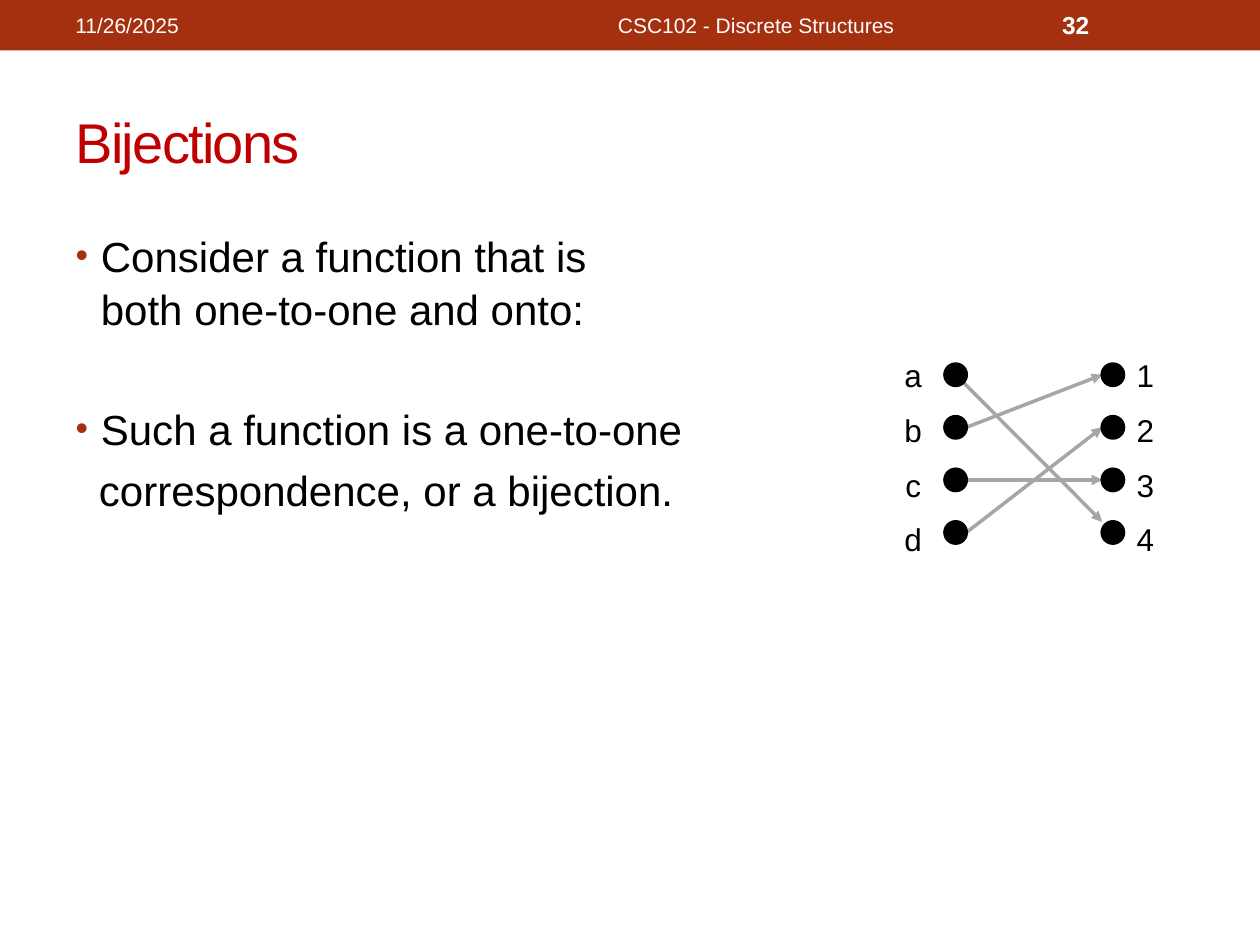
from dataclasses import dataclass

from lxml.etree import SubElement
from pptx import Presentation
from pptx.dml.color import RGBColor as RGB
from pptx.enum.shapes import MSO_CONNECTOR as Connector, MSO_SHAPE as Shape
from pptx.enum.text import MSO_ANCHOR as Anchor, MSO_AUTO_SIZE as AutoSize, PP_ALIGN as Align
from pptx.oxml.ns import qn
from pptx.util import Cm, Pt


@dataclass(frozen=True)
class Theme:
    font: str = "Arial"
    accent: RGB = RGB(0xA5, 0x30, 0x0F)
    title: RGB = RGB(0xC0, 0x00, 0x00)
    ink: RGB = RGB(0x00, 0x00, 0x00)
    arrow: RGB = RGB(0xA6, 0xA6, 0xA6)
    paper: RGB = RGB(0xFF, 0xFF, 0xFF)
    title_size: int = 32
    body_size: int = 24
    label_size: int = 18
    number_size: int = 14
    header_size: int = 12


THEME = Theme()
ROW_TOP, ROW_PITCH, DOT = 7.34, 1.06, 0.43
DOMAIN_LEFT, CODOMAIN_LEFT = 19.05, 22.22


def place(item, left, top, width, height):
    item.left, item.top, item.width, item.height = map(Cm, (left, top, width, height))


def style(paragraph, size, color, bold=False):
    for run in paragraph.runs:
        font = run.font
        font.name, font.size, font.bold = THEME.font, Pt(size), bold
        font.color.rgb = color


def set_bullet(paragraph, margin, bulleted):
    properties = paragraph._p.get_or_add_pPr()
    properties.set("marL", str(Cm(margin)))
    properties.set("indent", str(-Cm(margin) if bulleted else 0))
    if not bulleted:
        SubElement(properties, qn("a:buNone"))
        return
    color = SubElement(properties, qn("a:buClr"))
    SubElement(color, qn("a:srgbClr"), val=str(THEME.accent))
    SubElement(properties, qn("a:buSzPct"), val="85000")
    SubElement(properties, qn("a:buFont"), typeface=THEME.font)
    SubElement(properties, qn("a:buChar"), char="•")


def add_header_text(slide, text, left, width, size, align=Align.LEFT, bold=False):
    box = slide.shapes.add_textbox(Cm(left), Cm(0.05), Cm(width), Cm(0.91))
    frame = box.text_frame
    frame.word_wrap = True
    frame.vertical_anchor = Anchor.MIDDLE
    frame.text = text
    frame.paragraphs[0].alignment = align
    style(frame.paragraphs[0], size, THEME.paper, bold)


def add_solid(slide, kind, left, top, width, height, color):
    solid = slide.shapes.add_shape(kind, Cm(left), Cm(top), Cm(width), Cm(height))
    solid.shadow.inherit = False
    solid.fill.solid()
    solid.fill.fore_color.rgb = color
    solid.line.color.rgb = color
    solid.line.width = Pt(2)
    return solid


def fill_title(title, text):
    place(title, 1.27, 1.47, 22.86, 2.74)
    frame = title.text_frame
    frame.auto_size = AutoSize.NONE
    frame.vertical_anchor = Anchor.MIDDLE
    frame.text = text
    heading = frame.paragraphs[0]
    heading.alignment = Align.LEFT
    style(heading, THEME.title_size, THEME.title)
    heading.runs[0].font._element.set("spc", "-100")


def fill_body(body, entries):
    place(body, 1.27, 4.45, 22.86, 13.54)
    frame = body.text_frame
    frame.auto_size = AutoSize.NONE
    frame.text = "\n".join(text for text, *_ in entries)
    for paragraph, (_, margin, bulleted, before) in zip(frame.paragraphs, entries):
        set_bullet(paragraph, margin, bulleted)
        paragraph.space_before = Pt(before)
        paragraph.line_spacing = 1.06
        style(paragraph, THEME.body_size, THEME.ink)


def add_labels(slide, labels, left):
    box = slide.shapes.add_textbox(Cm(left), Cm(6.71), Cm(0.86), Cm(4.52))
    frame = box.text_frame
    frame.word_wrap = False
    frame.text = "\n".join(labels)
    for paragraph in frame.paragraphs:
        paragraph.alignment = Align.CENTER
        paragraph.line_spacing = 1.45
        style(paragraph, THEME.label_size, THEME.ink)


def add_arrow(slide, start, end):
    arrow = slide.shapes.add_connector(Connector.STRAIGHT, *map(Cm, (*start, *end)))
    arrow.line.color.rgb = THEME.arrow
    arrow.line.width = Pt(2)
    SubElement(arrow.line._get_or_add_ln(), qn("a:tailEnd"), type="triangle")
    SubElement(arrow._element.spPr, qn("a:effectLst"))


def add_mapping(slide, domain, codomain, pairs):
    """Draw the labelled dots of both sets and an arrow for each pair."""
    add_labels(slide, codomain, 22.66)
    add_labels(slide, domain, 17.98)
    for source, target in pairs:
        row, goal = domain.index(source), codomain.index(target)
        steep = goal - row > 1
        start_x = DOMAIN_LEFT + (DOT / 2 if steep else DOT)
        start_y = ROW_TOP + row * ROW_PITCH + DOT / 2
        end_y = ROW_TOP + goal * ROW_PITCH + (0 if steep else DOT / 2)
        add_arrow(slide, (start_x, start_y), (CODOMAIN_LEFT, end_y))
    for left, members in ((DOMAIN_LEFT, domain), (CODOMAIN_LEFT, codomain)):
        for row in range(len(members)):
            add_solid(slide, Shape.OVAL, left, ROW_TOP + row * ROW_PITCH, DOT, DOT, THEME.ink)


def main():
    deck = Presentation()
    deck.slide_width, deck.slide_height = Cm(25.4), Cm(19.05)
    slide = deck.slides.add_slide(deck.slide_layouts[1])
    header = add_solid(slide, Shape.RECTANGLE, 0, 0, 25.4, 1.02, THEME.accent)
    header.line.fill.background()
    fill_title(slide.shapes.title, "Bijections")
    fill_body(slide.placeholders[1], [
        ("Consider a function that is\vboth one-to-one and onto:", 0.51, True, 0),
        ("Such a function is a one-to-one", 0.51, True, 38),
        ("correspondence, or a bijection.", 0.47, False, 4.5),
    ])
    add_mapping(slide, "abcd", "1234", ("c3", "a4", "d2", "b1"))
    add_header_text(slide, "11/26/2025", 1.27, 8.05, THEME.header_size)
    add_header_text(slide, "CSC102 - Discrete Structures", 9.53, 11.43, THEME.header_size, Align.CENTER)
    add_header_text(slide, "32", 21.16, 2.97, THEME.number_size, bold=True)
    deck.save("out.pptx")


if __name__ == "__main__":
    main()
